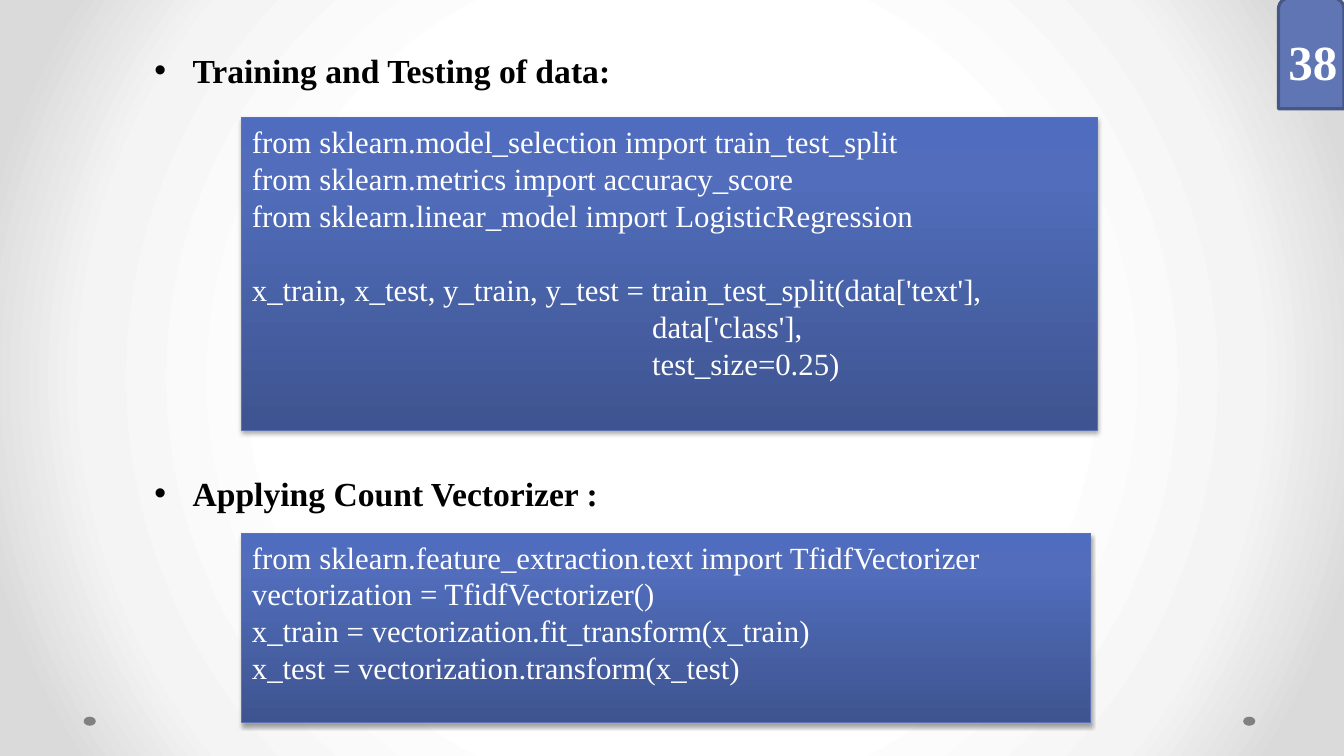
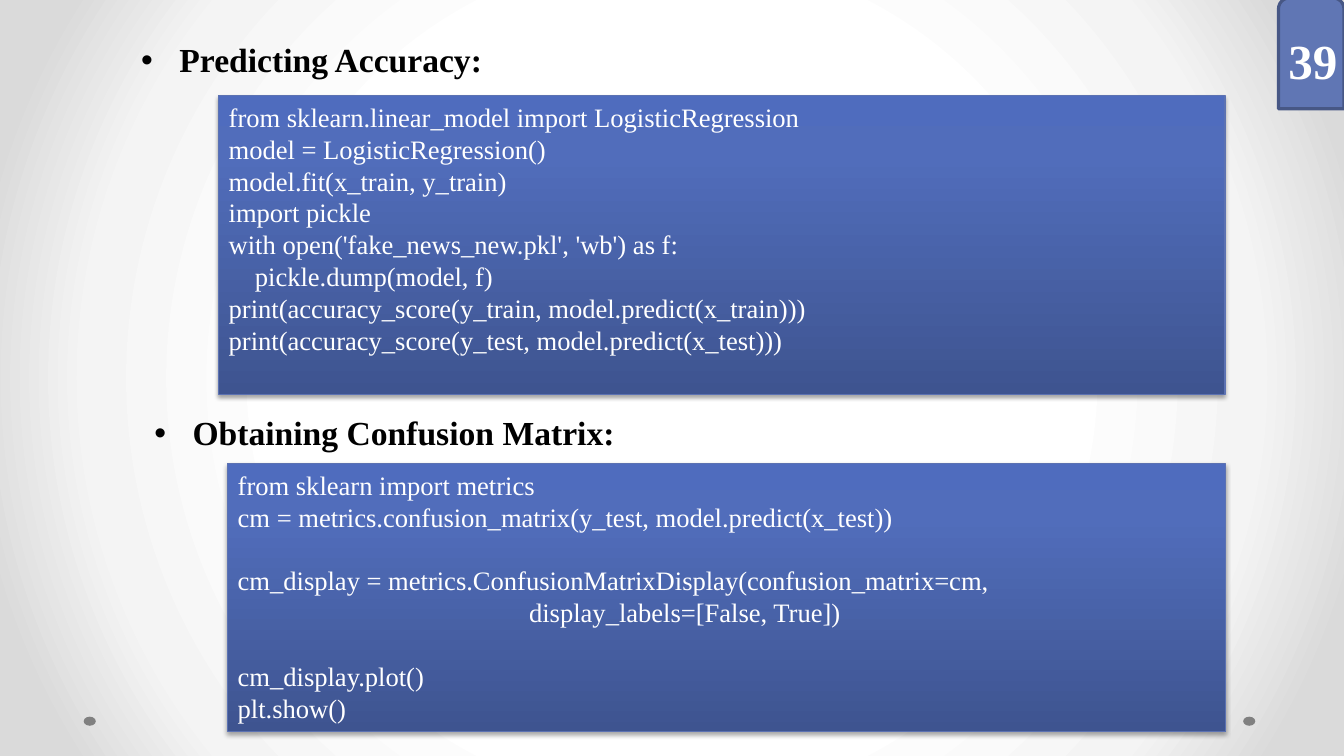
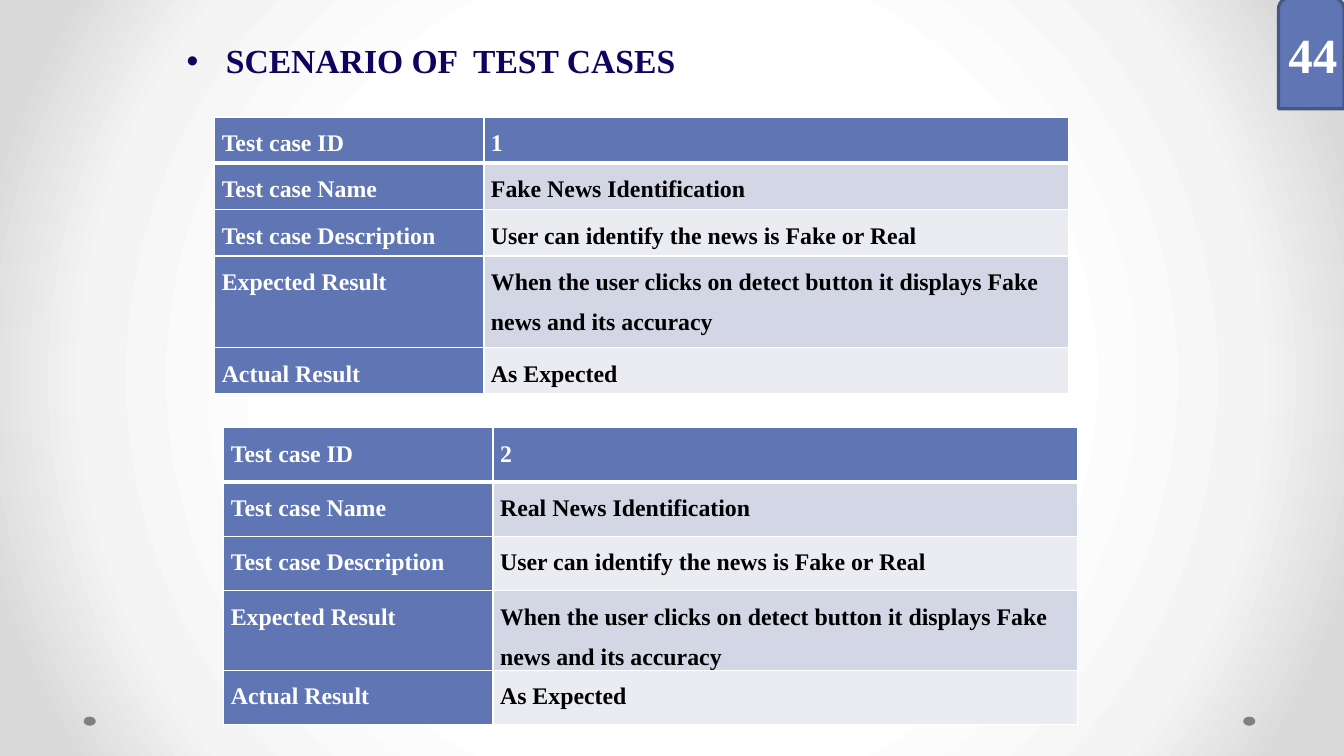
from dataclasses import dataclass
from typing import NamedTuple

from lxml.etree import SubElement
from pptx import Presentation
from pptx.dml.color import RGBColor
from pptx.enum.shapes import MSO_SHAPE as Shape
from pptx.enum.text import MSO_ANCHOR as Anchor, MSO_AUTO_SIZE as AutoSize, PP_ALIGN as Align
from pptx.oxml.ns import qn
from pptx.util import Inches, Pt

FONT = "Times New Roman"
WHITE, BLACK, NAVY = "FFFFFF", "000000", "13015F"
BLUE, BLUE_EDGE, CODE_EDGE, DOT_GREY = "6076B4", "475785", "5C72B2", "808080"
BAND_FILLS = ("D2D6E5", "EAECF2")
BACKGROUND_STOPS = ((50, "FFFFFF"), (76, "F4F4F4"), (92, "DADADA"))
CODE_STOPS = ((0, "3E5490"), (80, "516DBB"), (100, "4F6CBE"))
COLUMN_WIDTHS = (2.67, 5.8)


class Box(NamedTuple):
    left: float
    top: float
    width: float
    height: float


class Line(NamedTuple):
    text: str
    indent: float = 0
    blank_before: bool = False


@dataclass
class Heading:
    text: str
    box: Box
    color: str = BLACK
    indent: float = 0.38
    hanging: float = 0.38


@dataclass
class CodePanel:
    box: Box
    size: int
    lines: list[Line]


@dataclass
class TestCase:
    number: str
    name: str
    left: float
    top: float
    row_heights: tuple[float, ...]

    def rows(self) -> list[tuple[str, str]]:
        return [
            ("Test case ID", self.number),
            ("Test case Name", self.name),
            ("Test case Description", "User can identify the news is Fake or Real"),
            ("Expected Result",
             "When the user clicks on detect button it displays Fake news and its accuracy"),
            ("Actual Result", "As Expected"),
        ]


@dataclass
class Page:
    number: str
    number_top: float
    headings: list[Heading]
    panels: list[CodePanel]
    cases: list[TestCase]


PAGES = [
    Page("38", 0.26, [
        Heading("Training and Testing of data:", Box(1.43, 0.44, 5.05, 0.5)),
        Heading("Applying Count Vectorizer :", Box(1.43, 4.64, 5.05, 0.5)),
    ], [
        CodePanel(Box(2.4, 1.17, 8.49, 3.1), 22, [
            Line("from sklearn.model_selection import train_test_split"),
            Line("from sklearn.metrics import accuracy_score"),
            Line("from sklearn.linear_model import LogisticRegression"),
            Line("x_train, x_test, y_train, y_test = train_test_split(data['text'],",
                 blank_before=True),
            Line("data['class'],", indent=3.97),
            Line("test_size=0.25)", indent=3.97),
        ]),
        CodePanel(Box(2.4, 5.29, 8.42, 1.88), 22, [
            Line("from sklearn.feature_extraction.text import TfidfVectorizer"),
            Line("vectorization = TfidfVectorizer()"),
            Line("x_train = vectorization.fit_transform(x_train)"),
            Line("x_test = vectorization.transform(x_test)"),
        ]),
    ], []),
    Page("39", 0.25, [
        Heading("Predicting Accuracy:", Box(1.3, 0.34, 5.91, 0.5)),
        Heading("Obtaining Confusion Matrix:", Box(1.43, 4.04, 5.38, 0.5)),
    ], [
        CodePanel(Box(2.17, 0.95, 9.98, 2.96), 19, [
            Line("from sklearn.linear_model import LogisticRegression"),
            Line("model = LogisticRegression()"),
            Line("model.fit(x_train, y_train)"),
            Line("import pickle"),
            Line("with open('fake_news_new.pkl', 'wb') as f:"),
            Line("pickle.dump(model, f)", indent=0.26),
            Line("print(accuracy_score(y_train, model.predict(x_train)))"),
            Line("print(accuracy_score(y_test, model.predict(x_test)))"),
        ]),
        CodePanel(Box(2.26, 4.6, 9.9, 2.66), 19, [
            Line("from sklearn import metrics"),
            Line("cm = metrics.confusion_matrix(y_test, model.predict(x_test))"),
            Line("cm_display = metrics.ConfusionMatrixDisplay(confusion_matrix=cm,",
                 blank_before=True),
            Line("display_labels=[False, True])", indent=2.89),
            Line("cm_display.plot()", blank_before=True),
            Line("plt.show()"),
        ]),
    ], []),
    Page("44", 0.19, [
        Heading("SCENARIO OF  TEST CASES", Box(1.25, 0.35, 10.83, 0.5), NAVY, 0.89, 0.39),
    ], [], [
        TestCase("1", "Fake News Identification", 2.13, 1.16, (0.46, 0.46, 0.46, 0.91, 0.46)),
        TestCase("2", "Real News Identification", 2.22, 4.24, (0.54, 0.54, 0.54, 0.79, 0.54)),
    ]),
]


def rgb(color: str) -> RGBColor:
    return RGBColor.from_string(color)


def inches(box: Box) -> list[int]:
    return [Inches(length) for length in box]


def write(frame, text: str, *, size: float, color: str, bold: bool = False, indent: float = 0,
          hanging: float = 0, bullet: str = "", before: float = 0, spacing=None) -> None:
    """Add one formatted paragraph to a text frame."""
    para = frame.paragraphs[0]
    if para.runs:
        para = frame.add_paragraph()
    para.alignment = Align.LEFT
    para.space_before = Pt(before)
    para.line_spacing = spacing
    span = para.add_run()
    span.text = text
    span.font.name, span.font.size, span.font.bold = FONT, Pt(size), bold
    span.font.color.rgb = rgb(color)
    properties = para._p.get_or_add_pPr()
    properties.set("marL", str(Inches(indent)))
    properties.set("indent", str(-Inches(hanging)))
    if bullet:
        SubElement(properties, qn("a:buFont"), typeface="Arial")
        SubElement(properties, qn("a:buChar"), char=bullet)


def set_gradient(fill, owner, stops, angle: int | None = None) -> None:
    """Fill with a linear gradient, or a circular one when no angle is given."""
    fill.gradient()
    gradient = next(owner.iter(qn("a:gradFill")))
    for child in list(gradient):
        gradient.remove(child)
    stop_list = SubElement(gradient, qn("a:gsLst"))
    for position, color in stops:
        stop = SubElement(stop_list, qn("a:gs"), pos=str(position * 1000))
        SubElement(stop, qn("a:srgbClr"), val=color)
    if angle is None:
        circle = SubElement(gradient, qn("a:path"))
        circle.set("path", "circle")
        SubElement(circle, qn("a:fillToRect"), l="50000", t="50000", r="50000", b="50000")
    else:
        SubElement(gradient, qn("a:lin"), ang=str(angle * 60000), scaled="0")


def add_plain_shape(slide, kind, box: Box, fill: str = "", edge: str = "", edge_width: float = 0):
    shape = slide.shapes.add_shape(kind, *inches(box))
    shape.shadow.inherit = False
    if fill:
        shape.fill.solid()
        shape.fill.fore_color.rgb = rgb(fill)
    if edge:
        shape.line.color.rgb = rgb(edge)
        shape.line.width = Pt(edge_width)
    else:
        shape.line.fill.background()
    return shape


def add_frame(slide, page: Page) -> None:
    """Draw the footer dots and the page number tab."""
    for left in (0.83, 12.33):
        add_plain_shape(slide, Shape.OVAL, Box(left, 7.11, 0.12, 0.09), DOT_GREY)
    add_plain_shape(slide, Shape.ROUND_2_SAME_RECTANGLE, Box(12.68, -0.02, 0.65, 1.1),
                    BLUE, BLUE_EDGE, 2.25)
    number = slide.shapes.add_textbox(*inches(Box(12.68, page.number_top, 0.7, 0.69)))
    write(number.text_frame, page.number, size=35, color=WHITE, bold=True)


def fill_heading(placeholder, heading: Heading) -> None:
    (placeholder.left, placeholder.top,
     placeholder.width, placeholder.height) = inches(heading.box)
    frame = placeholder.text_frame
    frame.auto_size = AutoSize.NONE
    frame.vertical_anchor = Anchor.TOP
    write(frame, heading.text, size=24, color=heading.color, bold=True,
          indent=heading.indent, hanging=heading.hanging, bullet="•")


def add_code_panel(slide, panel: CodePanel) -> None:
    shape = add_plain_shape(slide, Shape.RECTANGLE, panel.box, edge=CODE_EDGE, edge_width=0.75)
    set_gradient(shape.fill, shape.element, CODE_STOPS, 270)
    # Soft shadow below the panel
    effects = shape.element.spPr.find(qn("a:effectLst"))
    shadow = SubElement(effects, qn("a:outerShdw"), blurRad=str(Pt(3.1)), dist=str(Pt(1.8)),
                        dir="5400000", algn="t", rotWithShape="0")
    tint = SubElement(shadow, qn("a:srgbClr"), val=BLACK)
    SubElement(tint, qn("a:alpha"), val="35000")
    # Code lines
    frame = shape.text_frame
    frame.word_wrap = True
    frame.vertical_anchor = Anchor.TOP
    pitch = panel.size * 1.2
    for line in panel.lines:
        write(frame, line.text, size=panel.size, color=WHITE, indent=line.indent,
              before=pitch if line.blank_before else 0, spacing=Pt(pitch))


def set_borders(cell, top: float, bottom: float) -> None:
    properties = cell._tc.get_or_add_tcPr()
    widths = {"a:lnL": 1, "a:lnR": 1, "a:lnT": top, "a:lnB": bottom}
    for index, (side, width) in enumerate(widths.items()):
        border = properties.makeelement(qn(side), {"w": str(Pt(width))})
        paint = SubElement(border, qn("a:solidFill"))
        SubElement(paint, qn("a:srgbClr"), val=WHITE)
        properties.insert(index, border)


def add_test_case(slide, case: TestCase) -> None:
    rows = case.rows()
    box = Box(case.left, case.top, sum(COLUMN_WIDTHS), sum(case.row_heights))
    table = slide.shapes.add_table(len(rows), len(COLUMN_WIDTHS), *inches(box)).table
    table.first_row = table.horz_banding = False
    for column, width in zip(table.columns, COLUMN_WIDTHS):
        column.width = Inches(width)
    for row_index, (texts, height) in enumerate(zip(rows, case.row_heights)):
        table.rows[row_index].height = Inches(height)
        for column_index, text in enumerate(texts):
            cell = table.cell(row_index, column_index)
            is_label = row_index == 0 or column_index == 0
            cell.margin_left = cell.margin_right = Inches(0.07)
            cell.margin_top = cell.margin_bottom = 0
            cell.fill.solid()
            cell.fill.fore_color.rgb = rgb(BLUE if is_label else BAND_FILLS[(row_index - 1) % 2])
            set_borders(cell, top=3 if row_index == 1 else 1, bottom=3 if row_index == 0 else 1)
            write(cell.text_frame, text, size=17, color=WHITE if is_label else BLACK,
                  bold=True, spacing=1.5)


def add_page(deck, page: Page) -> None:
    slide = deck.slides.add_slide(deck.slide_layouts[1])
    placeholders = list(slide.placeholders)
    for placeholder, heading in zip(placeholders, page.headings):
        fill_heading(placeholder, heading)
    for unused in placeholders[len(page.headings):]:
        unused.element.getparent().remove(unused.element)
    for panel in page.panels:
        add_code_panel(slide, panel)
    for case in page.cases:
        add_test_case(slide, case)
    add_frame(slide, page)


def main() -> None:
    deck = Presentation()
    deck.slide_width, deck.slide_height = Inches(13.33), Inches(7.5)
    master = deck.slide_master
    set_gradient(master.background.fill, master.element, BACKGROUND_STOPS)
    for page in PAGES:
        add_page(deck, page)
    deck.save("out.pptx")


if __name__ == "__main__":
    main()
